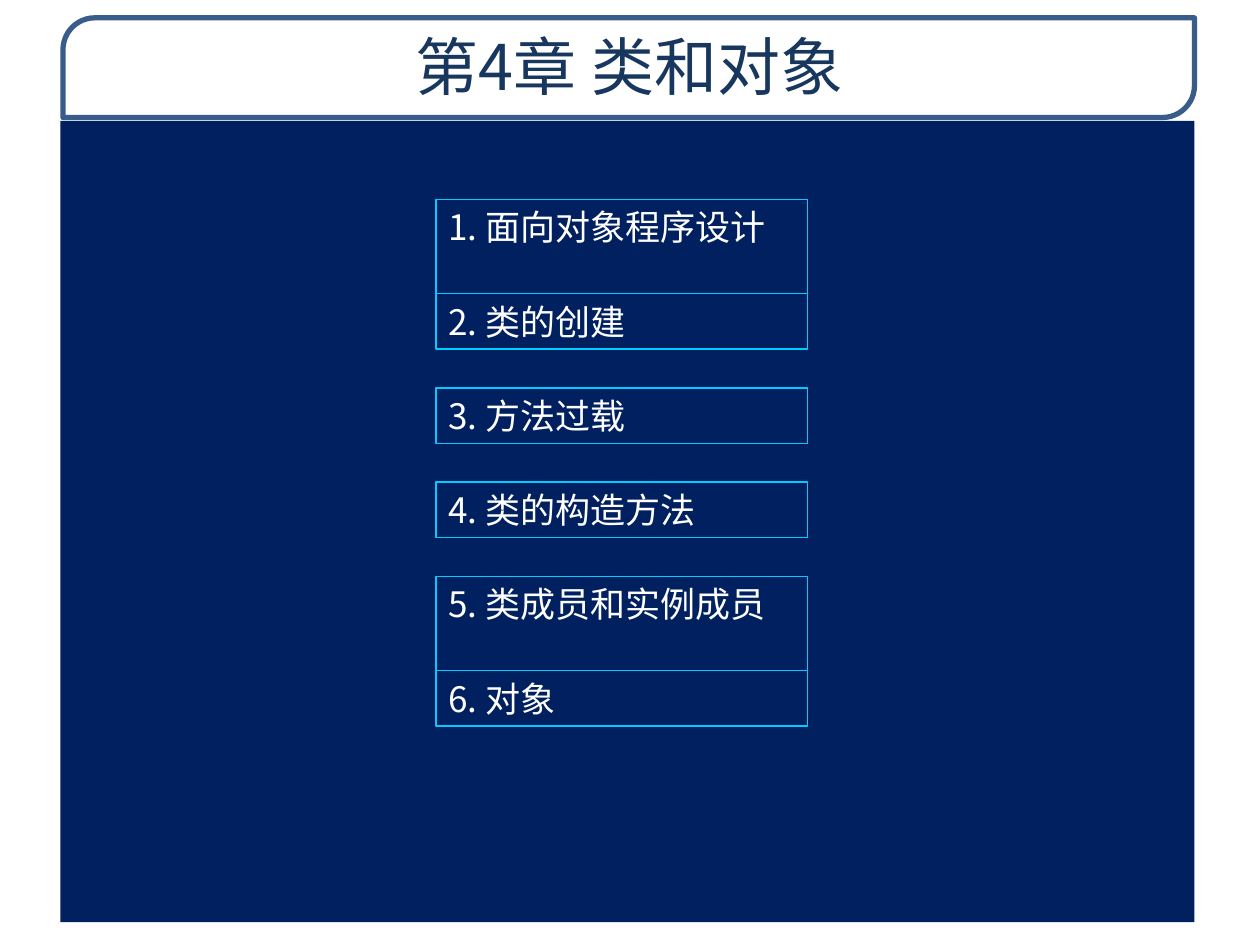
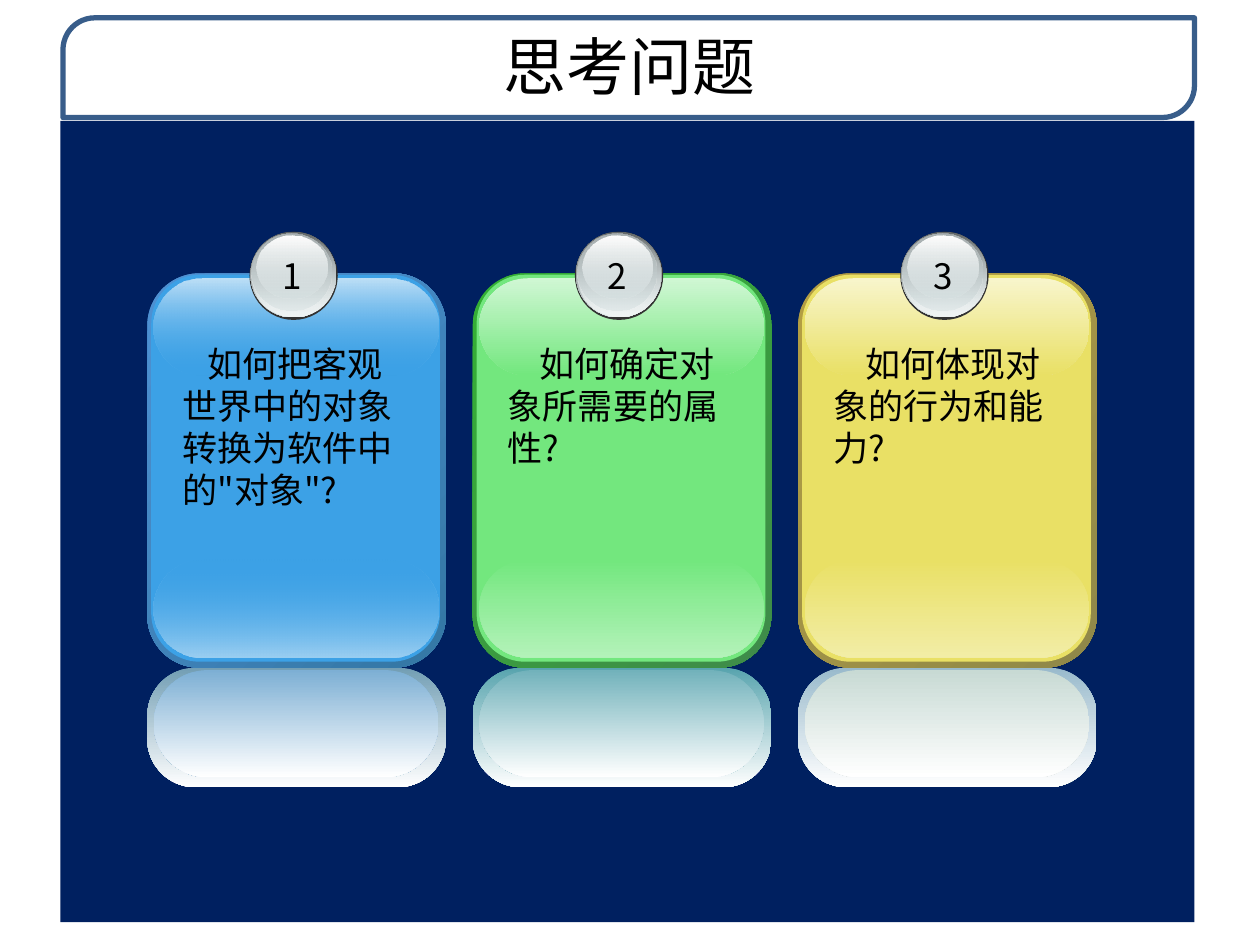
from collections import namedtuple
from lxml.etree import SubElement
from pptx import Presentation
from pptx.dml.color import RGBColor
from pptx.enum.shapes import MSO_SHAPE
from pptx.enum.text import MSO_ANCHOR, PP_ALIGN
from pptx.oxml.ns import qn
from pptx.util import Cm, Pt

FONT = "Noto Sans CJK SC"
WHITE = RGBColor(0xFF, 0xFF, 0xFF)
BLACK = RGBColor(0x00, 0x00, 0x00)
NAVY = RGBColor(0x00, 0x20, 0x60)
TITLE_BLUE = RGBColor(0x17, 0x37, 0x5E)
BAND_BLUE = RGBColor(0x38, 0x5D, 0x8A)
CYAN = RGBColor(0x00, 0xCC, 0xFF)
RIM = RGBColor(0x33, 0x33, 0x33)
STEEL = RGBColor(0x63, 0x68, 0x69)
GREY = RGBColor(0xAA, 0xB2, 0xB3)
SILVER = RGBColor(0xD6, 0xE1, 0xE2)
PEARL = RGBColor(0xF1, 0xF5, 0xF5)

BAND = (1.27, 0.36, 22.81, 2.01)
TITLE_BOX = (1.3, 0.36, 22.78, 1.93)
PANEL = (1.22, 2.44, 22.86, 16.15)
TOPICS_AT = (8.79, 4.02)
CARDS_AT = (2.97, 5.51)
CARD_PITCH = 6.56
DOWN, DIAGONAL = 270, 315

TOPICS = [
    ("1. 面向对象程序设计", 1.96),
    ("2. 类的创建", 1.12),
    ("3. 方法过载", 1.12),
    ("4. 类的构造方法", 1.12),
    ("5. 类成员和实例成员", 1.96),
    ("6. 对象", 1.12),
]

Card = namedtuple("Card", "question indent rim face low_gloss top_gloss mirror mirror_face gloss_alpha")
CARDS = [
    Card('如何把客观世界中的对象转换为软件中的"对象"?', 0.5,
         (RGBColor(0x4E, 0x91, 0xD4), RGBColor(0x34, 0x77, 0xA4)),
         RGBColor(0x3C, 0xA1, 0xE6), RGBColor(0x9B, 0xCF, 0xF2), RGBColor(0xBE, 0xE0, 0xF7),
         RGBColor(0x72, 0x9E, 0xB4), RGBColor(0x7D, 0xAF, 0xD4), 0),
    Card("如何确定对象所需要的属性?", 0.64,
         (RGBColor(0x34, 0xB0, 0x34), RGBColor(0x3F, 0x8B, 0x4A)),
         RGBColor(0x73, 0xE7, 0x7E), RGBColor(0xB3, 0xF2, 0xB9), RGBColor(0xD0, 0xF7, 0xD4),
         RGBColor(0x58, 0xA4, 0xAE), RGBColor(0x72, 0xB2, 0xBB), 100),
    Card("如何体现对象的行为和能力?", 0.64,
         (RGBColor(0xB5, 0x9F, 0x43), RGBColor(0x8F, 0x88, 0x49)),
         RGBColor(0xE9, 0xE0, 0x65), RGBColor(0xF2, 0xED, 0xA6), RGBColor(0xF8, 0xF5, 0xCC),
         RGBColor(0x99, 0xBA, 0xCC), RGBColor(0xC8, 0xDA, 0xD4), 100),
]


def add_box(shapes, kind, box, fill, line=None, width=0.75, adj=None, angle=DOWN, alphas=(100, 100)):
    sp = shapes.add_shape(kind, *map(Cm, box))
    sp.shadow.inherit = False
    if adj is not None:
        sp.adjustments[0] = adj
    if isinstance(fill, RGBColor):
        sp.fill.solid()
        sp.fill.fore_color.rgb = fill
    else:
        sp.fill.gradient()
        sp.fill.gradient_angle = angle
        for stop, color in zip(sp.fill.gradient_stops, fill):
            stop.color.rgb = color
    for clr, alpha in zip(sp._element.spPr.findall(".//" + qn("a:srgbClr")), alphas):
        if alpha < 100:
            SubElement(clr, qn("a:alpha")).set("val", str(alpha * 1000))
    if line is None:
        sp.line.fill.background()
    else:
        sp.line.color.rgb = line
        sp.line.width = Pt(width)
    return sp


def write(sp, text, size=20, color=BLACK, align=PP_ALIGN.LEFT, anchor=MSO_ANCHOR.TOP,
          inset=0.25, indent=0, wrap=True):
    tf = sp.text_frame
    tf.word_wrap = wrap
    tf.vertical_anchor = anchor
    tf.margin_left = tf.margin_right = Cm(inset)
    tf.margin_top = tf.margin_bottom = Cm(0.13)
    p = tf.paragraphs[0]
    p.alignment = align
    if indent:
        p._p.get_or_add_pPr().set("indent", str(Cm(indent)))
    r = p.add_run()
    r.text = text
    r.font.size = Pt(size)
    r.font.name = FONT
    r.font.color.rgb = color
    SubElement(r._r.get_or_add_rPr(), qn("a:ea")).set("typeface", FONT)


def add_frame(prs, title, color):
    s = prs.slides.add_slide(prs.slide_layouts[6])
    add_box(s.shapes, MSO_SHAPE.ROUND_2_DIAG_RECTANGLE, BAND, WHITE, BAND_BLUE, 3, 0.32, alphas=(85,))
    write(s.shapes.add_textbox(*map(Cm, TITLE_BOX)), title, size=36, color=color,
          align=PP_ALIGN.CENTER, anchor=MSO_ANCHOR.MIDDLE)
    add_box(s.shapes, MSO_SHAPE.RECTANGLE, PANEL, NAVY)
    return s


def add_topics(s, left, top, pitch=1.9):
    for i, (topic, height) in enumerate(TOPICS):
        box = (left, top + i * pitch, 7.49, height)
        write(add_box(s.shapes, MSO_SHAPE.RECTANGLE, box, NAVY, CYAN), topic, color=WHITE)


def add_badge(shapes, left, top, number):
    layers = [
        (0, 0, 1.78, 1.78, RIM, (100, 100)),
        (0.02, 0, 1.73, 1.73, (STEEL, SILVER), (100, 100)),
        (0.05, 0.03, 1.68, 1.68, (SILVER, PEARL), (0, 100)),
        (0.05, 0.03, 1.6, 1.57, (GREY, SILVER), (100, 48)),
        (0.15, 0.08, 1.42, 1.27, (WHITE, SILVER), (100, 38)),
    ]
    for x, y, w, h, fill, alphas in layers:
        add_box(shapes, MSO_SHAPE.OVAL, (left + x, top + y, w, h), fill, alphas=alphas)
    label = shapes.add_textbox(Cm(left + 0.15), Cm(top + 0.33), Cm(1.42), Cm(1.12))
    write(label, str(number), align=PP_ALIGN.CENTER, inset=0.51, wrap=False)


def add_card(s, left, top, number, card):
    shapes = s.shapes.add_group_shape().shapes
    clear = card.gloss_alpha
    layers = [
        (0, 0, 6.02, 7.95, card.rim, 0.175, DIAGONAL, (100, 100)),
        (0.08, 0.03, 5.82, 7.8, card.face, 0.168, DOWN, (100, 100)),
        (0.13, 5.77, 5.74, 1.98, (card.face, card.low_gloss), 0.5, DOWN, (clear, 100)),
        (0.13, 0.1, 5.74, 1.96, (card.top_gloss, card.face), 0.5, DOWN, (100, clear)),
        (0, 7.95, 6.02, 2.41, (card.mirror, WHITE), 0.404, DOWN, (100, 100)),
        (0.13, 8, 5.74, 2.16, (card.mirror_face, WHITE), 0.5, DOWN, (100, 100)),
    ]
    for x, y, w, h, fill, adj, angle, alphas in layers:
        add_box(shapes, MSO_SHAPE.ROUNDED_RECTANGLE, (left + x, top + y, w, h), fill,
                adj=adj, angle=angle, alphas=alphas)
    add_badge(shapes, left + 2.06, top - 0.84, number)
    question = shapes.add_textbox(Cm(left + 0.2), Cm(top + 1.27), Cm(5.72), Cm(3.66))
    write(question, card.question, inset=0.51, indent=card.indent)


def main():
    prs = Presentation()
    prs.slide_width, prs.slide_height = Cm(25.4), Cm(19.05)

    add_topics(add_frame(prs, "第4章 类和对象", TITLE_BLUE), *TOPICS_AT)

    s = add_frame(prs, "思考问题", BLACK)
    left, top = CARDS_AT
    for i, card in enumerate(CARDS):
        add_card(s, left + i * CARD_PITCH, top, i + 1, card)

    prs.save("out.pptx")


if __name__ == "__main__":
    main()
